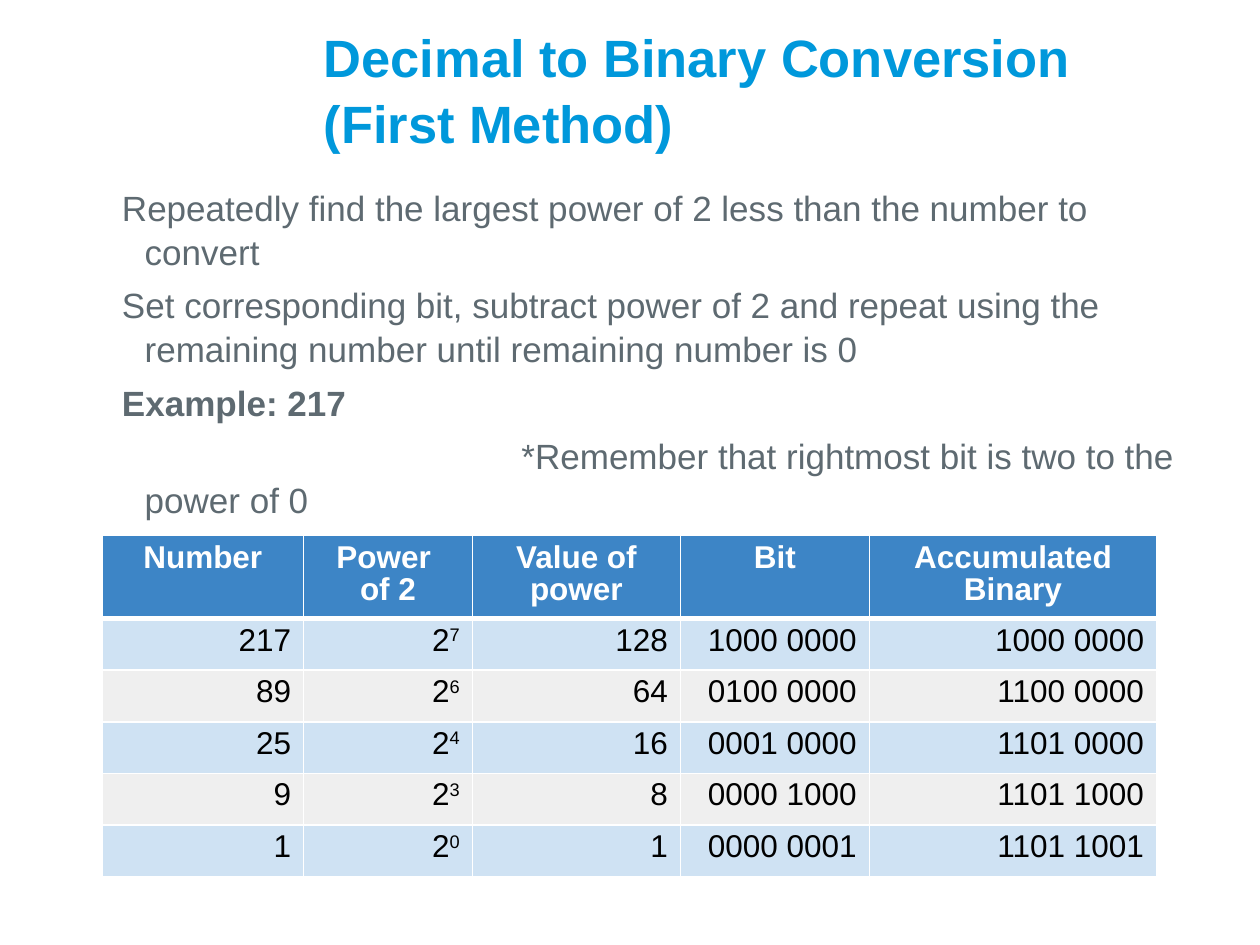
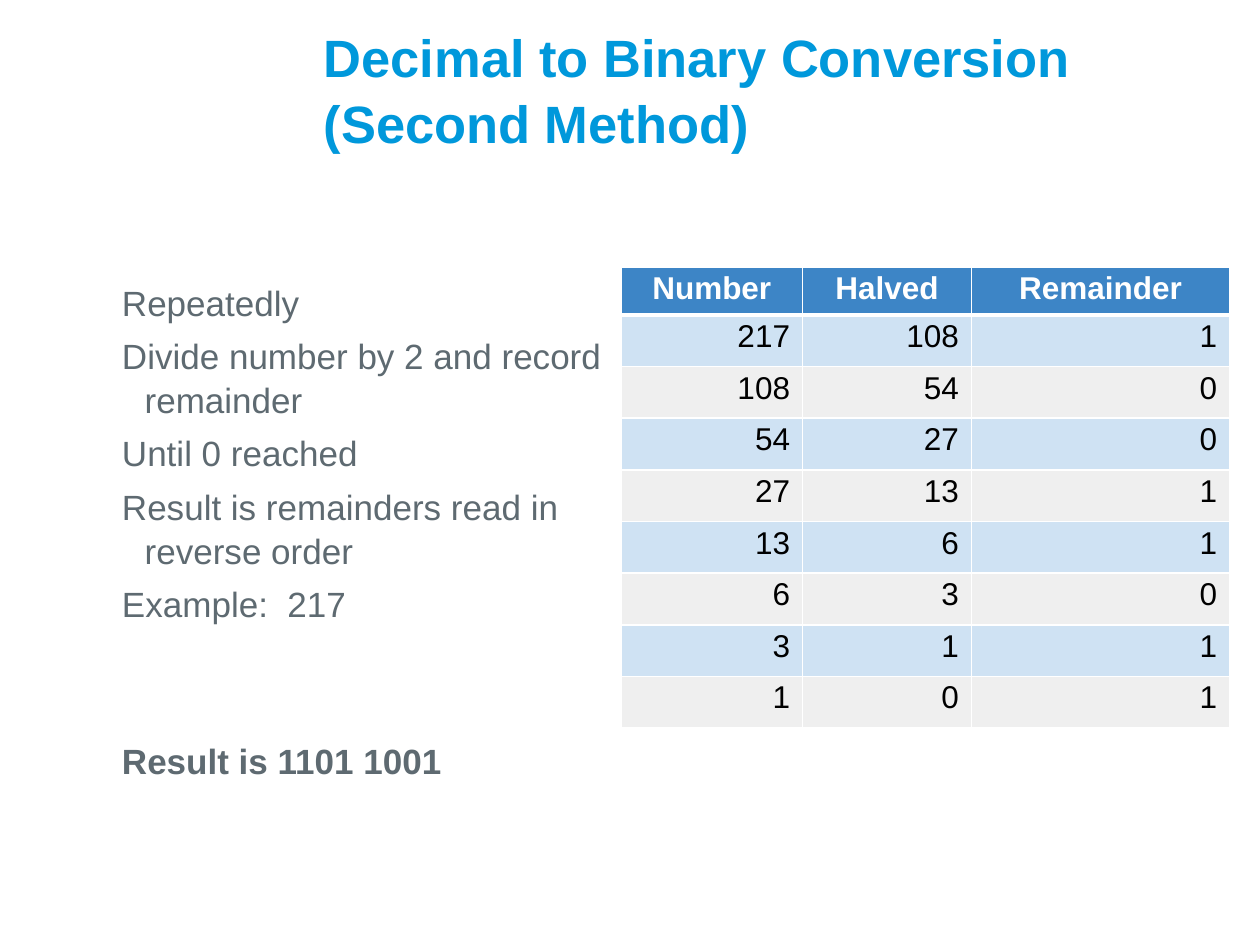
from lxml import etree
from pptx import Presentation
from pptx.dml.color import RGBColor
from pptx.enum.text import MSO_ANCHOR as Anchor, PP_ALIGN as Align
from pptx.oxml.ns import qn
from pptx.util import Inches, Pt

# Shared look
FONT = "Arial"
TITLE_BLUE = RGBColor(0x00, 0x98, 0xDB)
BODY_GREY = RGBColor(0x5E, 0x6A, 0x71)
HEADER_BLUE = RGBColor(0x3D, 0x85, 0xC6)
BAND_BLUE = RGBColor(0xCF, 0xE2, 0xF3)
BAND_GREY = RGBColor(0xEF, 0xEF, 0xEF)
WHITE = RGBColor(0xFF, 0xFF, 0xFF)
BLACK = RGBColor(0x00, 0x00, 0x00)

TITLE_BOX = (2.47, 0.23, 6.94, 1.09)
TITLE_FONT = {"size": Pt(30), "bold": True, "color": TITLE_BLUE}
BODY_FONT = {"size": Pt(20), "bold": False, "color": BODY_GREY}
STRONG_FONT = BODY_FONT | {"bold": True}
HEADER_FONT = {"size": Pt(18), "bold": True, "color": WHITE}
CELL_FONT = {"size": Pt(18), "bold": False, "color": BLACK}

LINE_SPACING = 1.04
CELL_LINE_SPACING = 0.93
HANGING = -0.18
NOTE_INDENT = 2.99
PARAGRAPH_GAP = 5.6
RESULT_GAP = 64.8
ROW_HEIGHT = 0.41

# Body lines: text, font, first-line indent, space before
SLIDES = [
    {
        "title": "Decimal to Binary Conversion (First Method)",
        "body_box": (0.67, 1.37, 8.83, 2.73),
        "body": [
            ("Repeatedly find the largest power of 2 less than the number to convert",
             BODY_FONT, HANGING, PARAGRAPH_GAP),
            ("Set corresponding bit, subtract power of 2 and repeat using the "
             "remaining number until remaining number is 0",
             BODY_FONT, HANGING, PARAGRAPH_GAP),
            ("Example: 217", STRONG_FONT, HANGING, PARAGRAPH_GAP),
            ("*Remember that rightmost bit is two to the power of 0",
             BODY_FONT, NOTE_INDENT, PARAGRAPH_GAP),
        ],
        "table_at": (0.81, 4.25),
        "header_height": 0.64,
        "columns": [1.6, 1.34, 1.65, 1.5, 2.28],
        "rows": [
            ("Number", "Power \nof 2", "Value of power", "Bit", "Accumulated Binary"),
            ("217", "2^7", "128", "1000 0000", "1000 0000"),
            ("89", "2^6", "64", "0100 0000", "1100 0000"),
            ("25", "2^4", "16", "0001 0000", "1101 0000"),
            ("9", "2^3", "8", "0000 1000", "1101 1000"),
            ("1", "2^0", "1", "0000 0001", "1101 1001"),
        ],
    },
    {
        "title": "Decimal to Binary Conversion (Second Method)",
        "body_box": (0.67, 2.12, 4.26, 5.16),
        "body": [
            ("Repeatedly", BODY_FONT, HANGING, PARAGRAPH_GAP),
            ("Divide number by 2 and record remainder", BODY_FONT, HANGING, PARAGRAPH_GAP),
            ("Until 0 reached", BODY_FONT, HANGING, PARAGRAPH_GAP),
            ("Result is remainders read in reverse order", BODY_FONT, HANGING, PARAGRAPH_GAP),
            ("Example:  217", BODY_FONT, HANGING, PARAGRAPH_GAP),
            ("Result is 1101 1001", STRONG_FONT, HANGING, RESULT_GAP),
        ],
        "table_at": (4.93, 2.12),
        "header_height": 0.36,
        "columns": [1.44, 1.34, 2.05],
        "rows": [
            ("Number", "Halved", "Remainder"),
            ("217", "108", "1"),
            ("108", "54", "0"),
            ("54", "27", "0"),
            ("27", "13", "1"),
            ("13", "6", "1"),
            ("6", "3", "0"),
            ("3", "1", "1"),
            ("1", "0", "1"),
        ],
    },
]


def add_run(paragraph, text, font_values):
    run = paragraph.add_run()
    run.text = text
    run.font.name = FONT
    for name, value in font_values.items():
        if name == "color":
            run.font.color.rgb = value
        else:
            setattr(run.font, name, value)
    return run


def add_text_frame(slide, box, anchor):
    frame = slide.shapes.add_textbox(*map(Inches, box)).text_frame
    frame.word_wrap = True
    frame.vertical_anchor = anchor
    for side in ("left", "top", "right", "bottom"):
        setattr(frame, f"margin_{side}", Inches(0.1))
    return frame


presentation = Presentation()
presentation.slide_width = Inches(10)
presentation.slide_height = Inches(7.5)

for content in SLIDES:
    slide = presentation.slides.add_slide(presentation.slide_layouts[6])

    # Title
    paragraph = add_text_frame(slide, TITLE_BOX, Anchor.BOTTOM).paragraphs[0]
    paragraph.line_spacing = LINE_SPACING
    add_run(paragraph, content["title"], TITLE_FONT)

    # Body text
    frame = add_text_frame(slide, content["body_box"], Anchor.TOP)
    for index, (text, font_values, indent, gap) in enumerate(content["body"]):
        paragraph = frame.add_paragraph() if index else frame.paragraphs[0]
        paragraph.line_spacing = LINE_SPACING
        paragraph.space_before = Pt(gap)
        properties = paragraph._p.get_or_add_pPr()
        properties.set("marL", str(Inches(0.38)))
        properties.set("indent", str(Inches(indent)))
        add_run(paragraph, text, font_values)

    # Table
    rows, columns = content["rows"], content["columns"]
    heights = [content["header_height"]] + [ROW_HEIGHT] * (len(rows) - 1)
    left, top = content["table_at"]
    table = slide.shapes.add_table(
        len(rows), len(columns), Inches(left), Inches(top),
        Inches(sum(columns)), Inches(sum(heights))).table
    for column, width in zip(table.columns, columns):
        column.width = Inches(width)

    for row_index, values in enumerate(rows):
        table.rows[row_index].height = Inches(heights[row_index])
        is_header = row_index == 0
        fill = HEADER_BLUE if is_header else (BAND_GREY, BAND_BLUE)[row_index % 2]
        for column_index, value in enumerate(values):
            cell = table.cell(row_index, column_index)

            # White rules, heavier between header and data
            cell_properties = cell._tc.get_or_add_tcPr()
            for side in "LRTB":
                heavy = (row_index, side) in ((0, "B"), (1, "T"))
                line = etree.SubElement(cell_properties, qn(f"a:ln{side}"),
                                        w=str(Pt(3 if heavy else 1)))
                solid = etree.SubElement(line, qn("a:solidFill"))
                etree.SubElement(solid, qn("a:srgbClr"), val=str(WHITE))
            cell.fill.solid()
            cell.fill.fore_color.rgb = fill

            # Cell text, with the exponent after ^ raised
            font_values = HEADER_FONT if is_header else CELL_FONT
            for line_index, text in enumerate(value.split("\n")):
                frame = cell.text_frame
                paragraph = frame.add_paragraph() if line_index else frame.paragraphs[0]
                paragraph.alignment = Align.CENTER if is_header else Align.RIGHT
                paragraph.line_spacing = CELL_LINE_SPACING
                base, _, exponent = text.partition("^")
                add_run(paragraph, base, font_values)
                if exponent:
                    run = add_run(paragraph, exponent, font_values)
                    run._r.get_or_add_rPr().set("baseline", "30000")

presentation.save("out.pptx")
